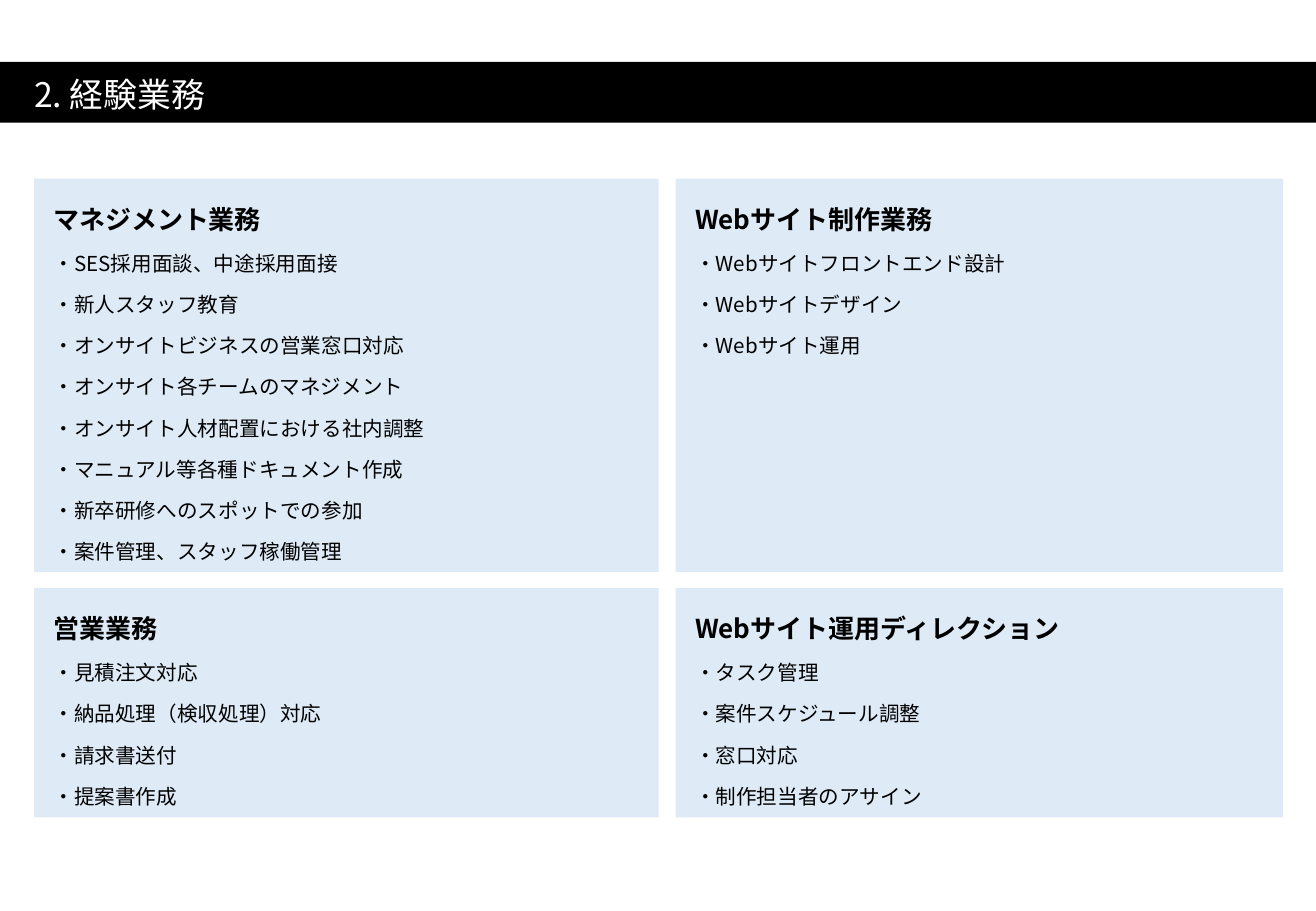
from dataclasses import dataclass

from lxml.etree import SubElement
from pptx import Presentation
from pptx.dml.color import RGBColor
from pptx.enum.text import MSO_ANCHOR as Anchor, MSO_AUTO_SIZE as Fit, PP_ALIGN as Align
from pptx.oxml.ns import qn
from pptx.shapes.placeholder import SlidePlaceholder as Holder
from pptx.util import Inches, Pt

FONT = "Noto Sans CJK JP"
BLACK, WHITE, PALE = "000000", "FFFFFF", "DEEBF7"
WIDTH, HEIGHT = 10.83, 7.5
COLS = ((0.28, 5.14), (5.56, 5))
ROWS = ((1.47, 3.24), (4.84, 1.89))


@dataclass
class Panel:
    row: int
    col: int
    head: str
    items: list[str]


PANELS = [
    Panel(0, 0, "マネジメント業務", [
        "SES採用面談、中途採用面接",
        "新人スタッフ教育",
        "オンサイトビジネスの営業窓口対応",
        "オンサイト各チームのマネジメント",
        "オンサイト人材配置における社内調整",
        "マニュアル等各種ドキュメント作成",
        "新卒研修へのスポットでの参加",
        "案件管理、スタッフ稼働管理",
    ]),
    Panel(0, 1, "Webサイト制作業務", [
        "Webサイトフロントエンド設計",
        "Webサイトデザイン",
        "Webサイト運用",
    ]),
    Panel(1, 0, "営業業務", [
        "見積注文対応",
        "納品処理（検収処理）対応",
        "請求書送付",
        "提案書作成",
    ]),
    Panel(1, 1, "Webサイト運用ディレクション", [
        "タスク管理",
        "案件スケジュール調整",
        "窓口対応",
        "制作担当者のアサイン",
    ]),
]


def color(code: str) -> RGBColor:
    return RGBColor.from_string(code)


def place(box: Holder, left: float, top: float, width: float, height: float,
          fill: str, pads: tuple[float, float, float, float], anchor: Anchor) -> None:
    """Move and fill a placeholder; pads are left, top, right, bottom."""
    box.left, box.top = Inches(left), Inches(top)
    box.width, box.height = Inches(width), Inches(height)
    box.fill.solid()
    box.fill.fore_color.rgb = color(fill)
    frame = box.text_frame
    frame.word_wrap = True
    frame.auto_size = Fit.NONE
    frame.vertical_anchor = anchor
    (frame.margin_left, frame.margin_top,
     frame.margin_right, frame.margin_bottom) = map(Inches, pads)


def write(box: Holder, lines: list[str], size: float, ink: str,
          pitch: float | Pt, before: float = 0) -> None:
    """Fill a placeholder with unbulleted, left-aligned paragraphs."""
    frame = box.text_frame
    frame.text = "\n".join(lines)
    for para in frame.paragraphs:
        para.alignment = Align.LEFT
        para.line_spacing = pitch
        para.space_before = Pt(before)
        font = para.font
        font.name, font.size, font.bold = FONT, Pt(size), False
        font.color.rgb = color(ink)
        props = para._p.get_or_add_pPr()
        props.set("marL", "0")
        props.set("indent", "0")
        base = props.find(qn("a:defRPr"))
        SubElement(base, qn("a:ea")).set("typeface", FONT)
        base.addprevious(SubElement(props, qn("a:buNone")))


def draw_panel(box: Holder, panel: Panel) -> None:
    left, width = COLS[panel.col]
    top, height = ROWS[panel.row]
    place(box, left, top, width, height, PALE, (0.16, 0.12, 0.1, 0.12), Anchor.TOP)
    lines = [panel.head] + [f"・{item}" for item in panel.items]
    write(box, lines, 12.2, BLACK, Pt(24.4))
    head = box.text_frame.paragraphs[0].font
    head.size, head.bold = Pt(15.4), True


def main() -> None:
    deck = Presentation()
    deck.slide_width, deck.slide_height = Inches(WIDTH), Inches(HEIGHT)
    slide = deck.slides.add_slide(deck.slide_layouts.get_by_name("Comparison"))
    title, *bodies = slide.placeholders
    place(title, 0, 0.51, WIDTH, 0.5, BLACK, (0.28, 0.12, 0.1, 0.05), Anchor.MIDDLE)
    write(title, ["2. 経験業務"], 20, WHITE, 0.9, before=10)
    for box, panel in zip(bodies, PANELS):
        draw_panel(box, panel)
    deck.save("out.pptx")


if __name__ == "__main__":
    main()
